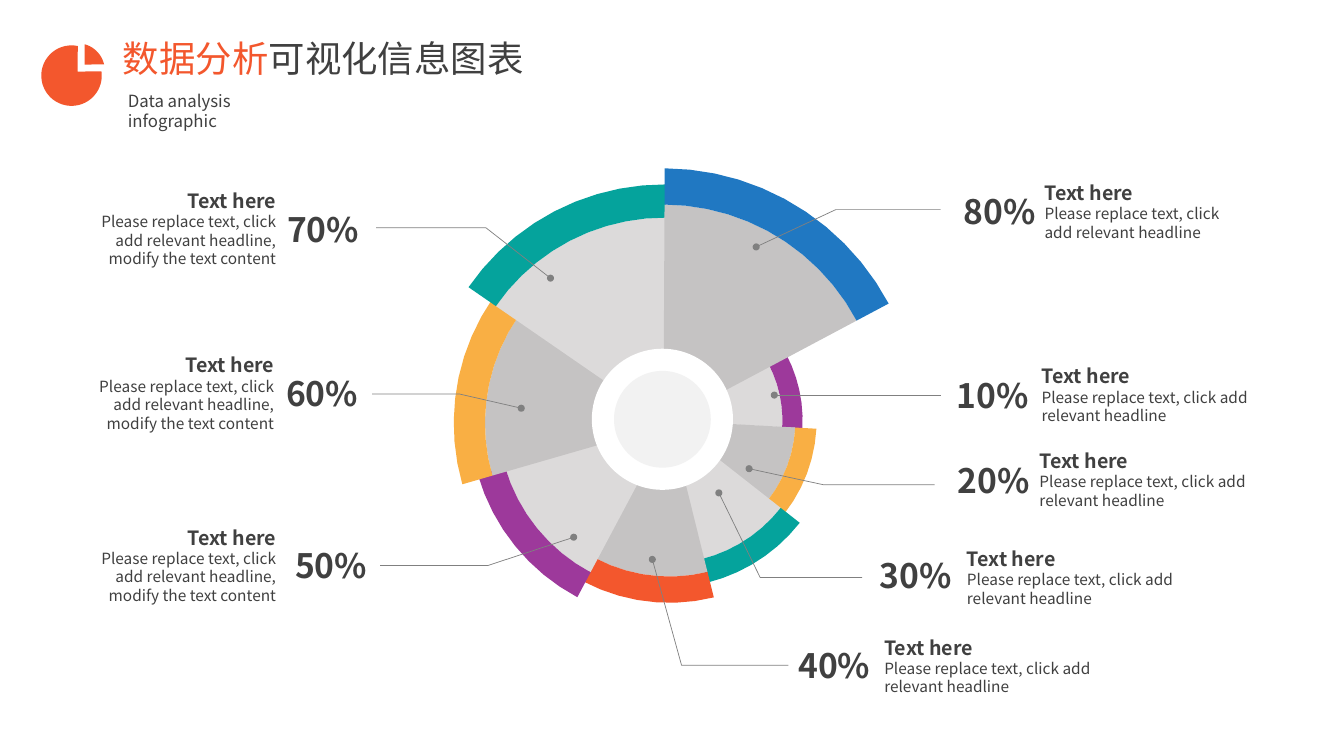
from math import ceil, cos, radians, sin

from lxml import etree
from pptx import Presentation
from pptx.dml.color import RGBColor
from pptx.enum.shapes import MSO_CONNECTOR, MSO_SHAPE
from pptx.enum.text import MSO_ANCHOR, PP_ALIGN
from pptx.oxml.ns import qn
from pptx.util import Inches, Pt

STRAIGHT = MSO_CONNECTOR.STRAIGHT
OVAL = MSO_SHAPE.OVAL
TOP, MIDDLE = MSO_ANCHOR.TOP, MSO_ANCHOR.MIDDLE
LEFT, CENTER, RIGHT = PP_ALIGN.LEFT, PP_ALIGN.CENTER, PP_ALIGN.RIGHT

FONT = "Noto Sans CJK SC"
INK, ORANGE, GREY = "404040", "F3572D", "808080"
WEDGE_GREYS = ("DCDADA", "C5C3C3")
SHORT_NOTE = "Please replace text, click add relevant headline"
LONG_NOTE = SHORT_NOTE + ", modify the text content"
ARC_STEP = 6  # degrees per segment

# Slices clockwise: apex x, apex y, inner radius, outer radius, end angle, ring colour
FIRST_ANGLE = -28
SLICES = [
    (6.56, 4.17, 1.2, 1.4, 3.2, "9D399B"),
    (6.6, 4.17, 1.29, 1.5, 38.1, "F9AF44"),
    (6.61, 4.15, 1.44, 1.68, 76.1, "05A39C"),
    (6.64, 4.15, 1.57, 1.83, 118, ORANGE),
    (6.67, 4.15, 1.73, 2.01, 163.9, "9D399B"),
    (6.68, 4.2, 1.87, 2.18, 214.6, "F9AF44"),
    (6.59, 4.19, 2.03, 2.36, 270.3, "05A39C"),
    (6.58, 4.2, 2.17, 2.53, 332, "2078C2"),
]

# Labels: percent, leader points from the dot, percent left/top, note box, note, alignment
LABELS = [
    ("80%", [(7.5, 2.45), (8.29, 2.08), (9.33, 2.08)], (9.43, 1.89),
     (10.36, 1.79, 1.79, 0.61), SHORT_NOTE, LEFT),
    ("10%", [(7.68, 3.92), (9.33, 3.92)], (9.36, 3.72),
     (10.33, 3.61, 2.39, 0.61), SHORT_NOTE, LEFT),
    ("20%", [(7.43, 4.65), (8.17, 4.81), (9.27, 4.81)], (9.37, 4.56),
     (10.31, 4.45, 2.08, 0.61), SHORT_NOTE, LEFT),
    ("30%", [(7.13, 4.89), (7.54, 5.73), (8.55, 5.73)], (8.6, 5.51),
     (9.59, 5.42, 2.39, 0.61), SHORT_NOTE, LEFT),
    ("40%", [(6.47, 5.55), (6.76, 6.6), (7.82, 6.6)], (7.79, 6.4),
     (8.77, 6.3, 2.39, 0.61), SHORT_NOTE, LEFT),
    ("50%", [(5.69, 5.33), (4.84, 5.61), (3.77, 5.61)], (2.8, 5.41),
     (0.8, 5.21, 1.94, 0.79), LONG_NOTE, RIGHT),
    ("60%", [(5.17, 4.05), (4.56, 3.91), (3.69, 3.91)], (2.71, 3.7),
     (0.78, 3.5, 1.94, 0.79), LONG_NOTE, RIGHT),
    ("70%", [(5.46, 2.76), (4.82, 2.26), (3.73, 2.26)], (2.72, 2.07),
     (0.8, 1.87, 1.94, 0.79), LONG_NOTE, RIGHT),
]


def color(value):
    return RGBColor.from_string(value)


def arc(x, y, radius, start, end):
    steps = ceil((end - start) / ARC_STEP)
    angles = [radians(start + (end - start) * i / steps) for i in range(steps + 1)]
    return [(x + radius * cos(a), y + radius * sin(a)) for a in angles]


class SlideBuilder:
    def __init__(self, slide):
        self.slide = slide
        self.shapes = slide.shapes

    def paint(self, shape, fill):
        shape.shadow.inherit = False
        shape.fill.solid()
        shape.fill.fore_color.rgb = color(fill)
        shape.line.fill.background()

    def outline(self, contours, close=True):
        contours = [[(Inches(x), Inches(y)) for x, y in points] for points in contours]
        builder = self.shapes.build_freeform(*contours[0][0])
        builder.add_line_segments(contours[0][1:], close=close)
        for points in contours[1:]:
            builder.move_to(*points[0])
            builder.add_line_segments(points[1:], close=close)
        return builder.convert_to_shape()

    def area(self, contours, fill):
        self.paint(self.outline(contours), fill)

    def circle(self, x, y, diameter, fill):
        corner = Inches(x - diameter / 2), Inches(y - diameter / 2)
        shape = self.shapes.add_shape(OVAL, *corner, Inches(diameter), Inches(diameter))
        self.paint(shape, fill)

    def leader(self, points):
        if len(points) == 2:
            ends = [Inches(value) for point in points for value in point]
            line = self.shapes.add_connector(STRAIGHT, *ends)
            etree.SubElement(line._element.spPr, qn("a:effectLst"))
        else:
            line = self.outline([points], close=False)
            line.shadow.inherit = False
            line.fill.background()
        line.line.color.rgb = color(GREY)
        line.line.width = Pt(0.5)
        self.circle(*points[0], 0.07, GREY)

    def text(self, box, runs, size, align=LEFT, anchor=MIDDLE, inset=(0, 0),
             wrap=True, bold=False, after=0):
        """Each run is (text, overrides); a run of None is a line break."""
        frame = self.shapes.add_textbox(*[Inches(value) for value in box]).text_frame
        frame.word_wrap = wrap
        frame.vertical_anchor = anchor
        frame.margin_left = frame.margin_right = Inches(inset[0])
        frame.margin_top = frame.margin_bottom = Inches(inset[1])
        paragraph = frame.paragraphs[0]
        paragraph.alignment = align
        paragraph.space_after = Pt(after)
        font = paragraph.font
        font.name, font.size, font.bold = FONT, Pt(size), bold
        font.color.rgb = color(INK)
        defaults = paragraph._p.pPr.find(qn("a:defRPr"))
        etree.SubElement(defaults, qn("a:ea")).set("typeface", FONT)
        for text, overrides in runs:
            if text is None:
                paragraph.add_line_break()
                continue
            run = paragraph.add_run()
            run.text = text
            if "color" in overrides:
                run.font.color.rgb = color(overrides["color"])
            if "size" in overrides:
                run.font.size = Pt(overrides["size"])
                run.font.bold = overrides["bold"]


def main():
    presentation = Presentation()
    presentation.slide_width, presentation.slide_height = Inches(13.33), Inches(7.5)
    page = SlideBuilder(presentation.slides.add_slide(presentation.slide_layouts[6]))

    # Heading with pie icon
    page.text((1.12, 0.31, 4.19, 0.54), [("数据分析", {"color": ORANGE}), ("可视化信息图表", {})],
              26, anchor=TOP, inset=(0.1, 0.05), wrap=False)
    page.area([[(0.77, 0.71)] + arc(0.71, 0.75, 0.3, -8, 282),
               [(0.84, 0.64)] + arc(0.77, 0.7, 0.27, -75, -13)], ORANGE)
    page.text((1.17, 0.85, 1.5, 0.5), [("Data analysis infographic", {})],
              12, anchor=TOP, inset=(0.1, 0.05))

    # Rose chart: grey wedge and coloured ring per slice
    start = FIRST_ANGLE
    for index, (x, y, inner, outer, end, ring) in enumerate(SLICES):
        inner_arc = arc(x, y, inner, start, end)
        page.area([[(x, y)] + inner_arc], WEDGE_GREYS[index % 2])
        page.area([arc(x, y, outer, start, end) + inner_arc[::-1]], ring)
        start = end

    # Hub
    page.circle(6.57, 4.16, 1.4, "FFFFFF")
    page.circle(6.57, 4.16, 0.96, "F2F2F2")

    # Leaders, percentages and notes
    for percent, points, corner, box, note, align in LABELS:
        page.leader(points)
        page.text((*corner, 0.97, 0.4), [(percent, {})], 24, CENTER, bold=True, after=12)
        page.text(box, [("Text here", {}), (None, {}), (note, {"size": 11, "bold": False})],
                  14, align, bold=True, after=12)

    presentation.save("out.pptx")


if __name__ == "__main__":
    main()
